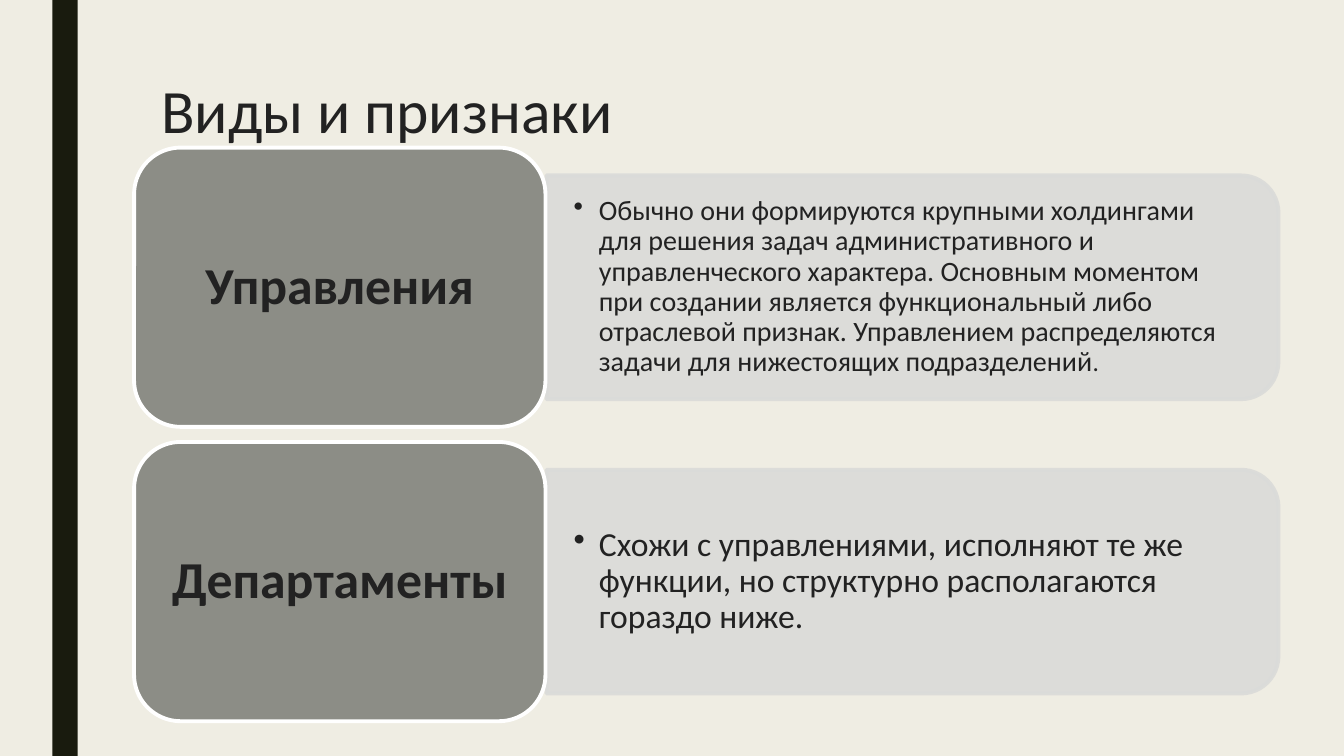
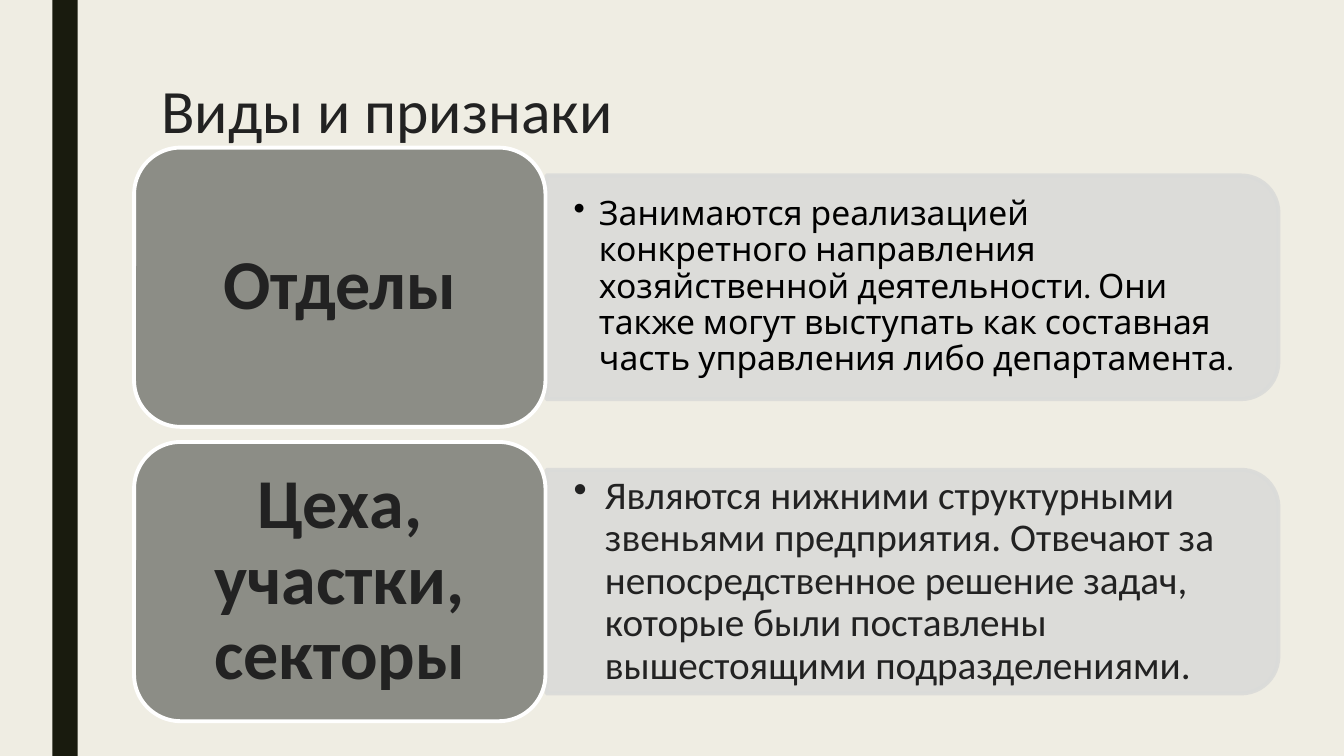
from dataclasses import dataclass

from lxml.etree import SubElement
from pptx import Presentation
from pptx.dml.color import RGBColor
from pptx.enum.shapes import MSO_SHAPE
from pptx.enum.text import MSO_ANCHOR, MSO_AUTO_SIZE, PP_ALIGN
from pptx.oxml.ns import qn
from pptx.util import Inches, Pt


@dataclass(frozen=True)
class Theme:
    background: str = "EFEDE3"
    bar: str = "191B0E"
    text: str = "222222"
    black: str = "000000"
    label: str = "8C8D86"
    label_line: str = "FFFFFF"
    panel: str = "DADBD9"
    panel_opacity: int = 90
    font: str = "Calibri"
    accent_font: str = "Karla"
    title_size: int = 44
    label_size: int = 37
    large_label_size: int = 50
    body_size: int = 24
    large_body_size: int = 28
    small_body_size: int = 20
    period_size: int = 18
    outline: float = 2.75


THEME = Theme()
LABEL_LEFT, LABEL_WIDTH, LABEL_HEIGHT = 1.33, 4.08, 2.77
PANEL_LEFT, PANEL_WIDTH, PANEL_HEIGHT = 5.42, 7.26, 2.22
BODY_WIDTH, BODY_HEIGHT = 7.15, 2
FIRST_CENTER, ROW_STEP = 2.85, 2.92


@dataclass
class Row:
    label: str
    spans: list
    label_size: int = THEME.label_size
    label_margins: tuple = (0.15, 0.08)
    font: str = THEME.font
    color: str = THEME.text
    indent: float = 0.25


class SlideBuilder:
    def __init__(self, theme):
        self.theme = theme
        self.deck = Presentation()
        self.deck.slide_width = Inches(13.33)
        self.deck.slide_height = Inches(7.5)
        fill = self.deck.slide_master.background.fill
        fill.solid()
        fill.fore_color.rgb = RGBColor.from_string(theme.background)
        self.page = None

    def add_page(self, title):
        self.page = self.deck.slides.add_slide(self.deck.slide_layouts[5])
        self.add_shape(MSO_SHAPE.RECTANGLE, 0.52, 0, 0.25, 7.5, self.theme.bar)
        self.add_title(title)

    def add_title(self, text):
        box = self.page.shapes.title
        box.left, box.top = Inches(1.5), Inches(0.75)
        box.width, box.height = Inches(10.5), Inches(1.62)
        frame = self.set_frame(box, MSO_ANCHOR.TOP, (0.1, 0.05))
        para = frame.paragraphs[0]
        para.alignment = PP_ALIGN.LEFT
        para.line_spacing = 0.89
        self.add_span(para, text, self.theme.title_size)

    def add_shape(self, kind, left, top, width, height, fill, line=None):
        shape = self.page.shapes.add_shape(
            kind, Inches(left), Inches(top), Inches(width), Inches(height))
        shape.shadow.inherit = False
        shape.fill.solid()
        shape.fill.fore_color.rgb = RGBColor.from_string(fill)
        if line:
            shape.line.color.rgb = RGBColor.from_string(line)
            shape.line.width = Pt(self.theme.outline)
        else:
            shape.line.fill.background()
        return shape

    def set_frame(self, box, anchor, margins):
        frame = box.text_frame
        frame.word_wrap = True
        frame.auto_size = MSO_AUTO_SIZE.NONE
        frame.vertical_anchor = anchor
        frame.margin_left = frame.margin_right = Inches(margins[0])
        frame.margin_top = frame.margin_bottom = Inches(margins[1])
        return frame

    def add_span(self, para, text, size, font=None, color=None, bold=False):
        span = para.add_run()
        span.text = text
        span.font.size = Pt(size)
        span.font.name = font or self.theme.font
        span.font.bold = bold
        span.font.color.rgb = RGBColor.from_string(color or self.theme.text)

    def add_panel(self, center):
        left = PANEL_LEFT + (PANEL_WIDTH - PANEL_HEIGHT) / 2
        panel = self.add_shape(
            MSO_SHAPE.ROUND_2_SAME_RECTANGLE, left, center - PANEL_WIDTH / 2,
            PANEL_HEIGHT, PANEL_WIDTH, self.theme.panel, self.theme.panel)
        panel.rotation = 90
        for color in panel.element.spPr.iter(qn("a:srgbClr")):
            alpha = SubElement(color, qn("a:alpha"))
            alpha.set("val", str(self.theme.panel_opacity * 1000))

    def add_body(self, row, center):
        box = self.page.shapes.add_textbox(
            Inches(PANEL_LEFT), Inches(center - BODY_HEIGHT / 2),
            Inches(BODY_WIDTH), Inches(BODY_HEIGHT))
        frame = self.set_frame(box, MSO_ANCHOR.MIDDLE, (0.27, 0.14))
        para = frame.paragraphs[0]
        para.line_spacing = 0.9
        properties = para._p.get_or_add_pPr()
        properties.set("marL", str(Inches(row.indent)))
        properties.set("indent", str(-Inches(row.indent)))
        SubElement(properties, qn("a:buChar")).set("char", "•")
        for text, size in row.spans:
            self.add_span(para, text, size, row.font, row.color)

    def add_label(self, row, center):
        label = self.add_shape(
            MSO_SHAPE.ROUNDED_RECTANGLE, LABEL_LEFT, center - LABEL_HEIGHT / 2,
            LABEL_WIDTH, LABEL_HEIGHT, self.theme.label, self.theme.label_line)
        frame = self.set_frame(label, MSO_ANCHOR.MIDDLE, row.label_margins)
        para = frame.paragraphs[0]
        para.alignment = PP_ALIGN.CENTER
        para.line_spacing = 0.9
        self.add_span(para, row.label, row.label_size, bold=True)

    def add_rows(self, rows):
        for index, row in enumerate(rows):
            center = FIRST_CENTER + index * ROW_STEP
            self.add_panel(center)
            self.add_body(row, center)
            self.add_label(row, center)


PAGES = [
    [
        Row("Управления", [
            ("Обычно они формируются крупными холдингами для решения задач "
             "административного и управленческого характера. Основным моментом "
             "при создании является функциональный либо отраслевой признак. "
             "Управлением распределяются задачи для нижестоящих подразделений",
             THEME.small_body_size),
            (".", THEME.period_size),
        ]),
        Row("Департаменты", [
            ("Схожи с управлениями, исполняют те же функции, но структурно "
             "располагаются гораздо ниже.", THEME.body_size),
        ]),
    ],
    [
        Row("Отделы", [
            ("Занимаются реализацией конкретного направления хозяйственной "
             "деятельности. Они также могут выступать как составная часть "
             "управления либо департамента.", THEME.body_size),
        ], THEME.large_label_size, (0.21, 0.1), THEME.accent_font, THEME.black),
        Row("Цеха, участки, секторы", [
            ("Являются нижними структурными звеньями предприятия. Отвечают за "
             "непосредственное решение задач, которые были поставлены "
             "вышестоящими подразделениями.", THEME.large_body_size),
        ], THEME.large_label_size, (0.21, 0.1), indent=0.31),
    ],
]


def main():
    builder = SlideBuilder(THEME)
    for rows in PAGES:
        builder.add_page("Виды и признаки")
        builder.add_rows(rows)
    builder.deck.save("out.pptx")


if __name__ == "__main__":
    main()
